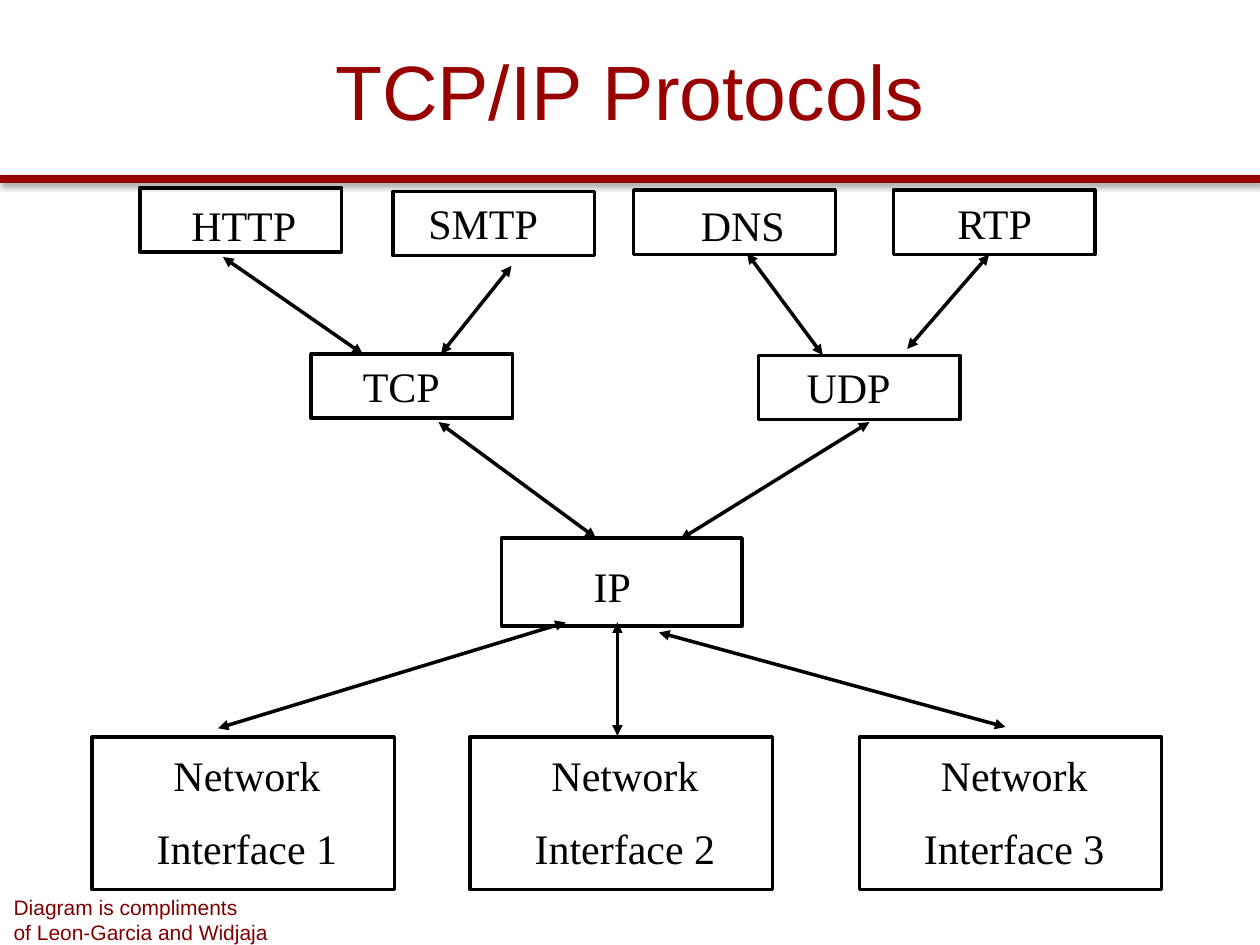
"""Build the TCP/IP protocol stack slide."""
from lxml import etree
from pptx import Presentation
from pptx import util as u
from pptx.dml.color import RGBColor
from pptx.enum import shapes, text
from pptx.oxml.ns import qn

BLACK, RED, MAROON = "000000", "990000", "800000"
SMALL, MEDIUM, LARGE = (1.6, 0.51), (1.91, 0.7), (2.4, 1.21)

# name lines, box left and top, box size, label left, top, width and height
PROTOCOLS = [
    (["HTTP"], (1.11, 1.49), SMALL, (1.42, 1.53, 1.03, 0.5)),
    (["SMTP"], (3.12, 1.52), SMALL, (3.27, 1.52, 1.13, 0.5)),
    (["DNS"], (5.03, 1.51), SMALL, (5.44, 1.53, 0.91, 0.5)),
    (["RTP"], (7.09, 1.51), SMALL, (7.46, 1.52, 0.87, 0.5)),
    (["TCP"], (2.47, 2.81), SMALL, (2.78, 2.81, 0.81, 0.5)),
    (["UDP"], (6.02, 2.82), SMALL, (6.3, 2.82, 0.87, 0.5)),
    (["IP"], (3.98, 4.27), MEDIUM, (4.61, 4.4, 0.5, 0.5)),
]
INTERFACES = [
    (["Network", f"Interface {number}"], (left, 5.85), LARGE, (left + 0.26, 5.89, 1.94, 1.1))
    for number, left in enumerate((0.73, 3.73, 6.82), 1)
]
LINKS = [
    ((1.77, 2.04), (2.88, 2.81)),
    ((3.5, 2.81), (4.06, 2.11)),
    ((6.53, 2.82), (5.93, 2.01)),
    ((7.2, 2.77), (7.85, 2.02)),
    ((4.73, 4.27), (3.48, 3.35)),
    ((5.4, 4.28), (6.9, 3.35)),
    ((1.73, 5.78), (4.49, 4.94)),
    ((4.9, 5.84), (4.9, 4.94)),
    ((7.98, 5.77), (5.23, 5.02)),
]
CREDIT = ["Diagram is compliments", "of Leon-Garcia and Widjaja"]


def rgb(code):
    return RGBColor.from_string(code)


def write(frame, lines, *, size, font, color, align=text.PP_ALIGN.CENTER, gap=0, wrap=True):
    frame.word_wrap = wrap
    frame.vertical_anchor = text.MSO_ANCHOR.MIDDLE
    for index, line in enumerate(lines):
        paragraph = frame.add_paragraph() if index else frame.paragraphs[0]
        paragraph.text = line
        paragraph.alignment = align
        paragraph.space_before = u.Pt(gap if index else 0)
        paragraph.font.size = u.Pt(size)
        paragraph.font.name = font
        paragraph.font.color.rgb = rgb(color)


def add_line(slide, start, end, color, width, arrows=False):
    ends = [u.Inches(value) for value in (*start, *end)]
    line = slide.shapes.add_connector(shapes.MSO_CONNECTOR.STRAIGHT, *ends)
    line.line.color.rgb = rgb(color)
    line.line.width = u.Pt(width)
    if arrows:
        outline = line.line._get_or_add_ln()
        for tag in ("a:headEnd", "a:tailEnd"):
            etree.SubElement(outline, qn(tag), type="triangle")
    return etree.SubElement(line._element.spPr, qn("a:effectLst"))


def add_rule(slide):
    effects = add_line(slide, (0, 1.42), (10, 1.42), RED, 5)
    shadow = etree.SubElement(effects, qn("a:outerShdw"), blurRad=str(u.Pt(3.1)),
                              dist=str(u.Pt(1.6)), dir="5400000", rotWithShape="0")
    shade = etree.SubElement(shadow, qn("a:srgbClr"), val=BLACK)
    etree.SubElement(shade, qn("a:alpha"), val="38000")


def add_node(slide, lines, corner, size, label_area):
    place = [u.Inches(value) for value in (*corner, *size)]
    box = slide.shapes.add_shape(shapes.MSO_SHAPE.RECTANGLE, *place)
    box.shadow.inherit = False
    box.fill.background()
    box.line.color.rgb = rgb(BLACK)
    box.line.width = u.Pt(2)
    label = slide.shapes.add_textbox(*[u.Inches(value) for value in label_area])
    write(label.text_frame, lines, size=24, font="Times New Roman", color=BLACK,
          gap=13, wrap=len(lines) > 1)


def main():
    deck = Presentation()
    deck.slide_width, deck.slide_height = u.Inches(10), u.Inches(7.5)
    slide = deck.slides.add_slide(deck.slide_layouts[5])

    title = slide.shapes.title
    title.left, title.top = u.Inches(0.5), u.Inches(0.09)
    title.width, title.height = u.Inches(9), u.Inches(1.25)
    write(title.text_frame, ["TCP/IP Protocols"], size=44, font="Arial", color=RED)

    add_rule(slide)
    for node in PROTOCOLS + INTERFACES:
        add_node(slide, *node)
    for start, end in LINKS:
        add_line(slide, start, end, BLACK, 2, arrows=True)

    credit = slide.shapes.add_textbox(*[u.Inches(value) for value in (0.01, 7.1, 2.77, 0.4)])
    write(credit.text_frame, CREDIT, size=12, font="Arial", color=MAROON,
          align=text.PP_ALIGN.LEFT)
    deck.save("out.pptx")


if __name__ == "__main__":
    main()
